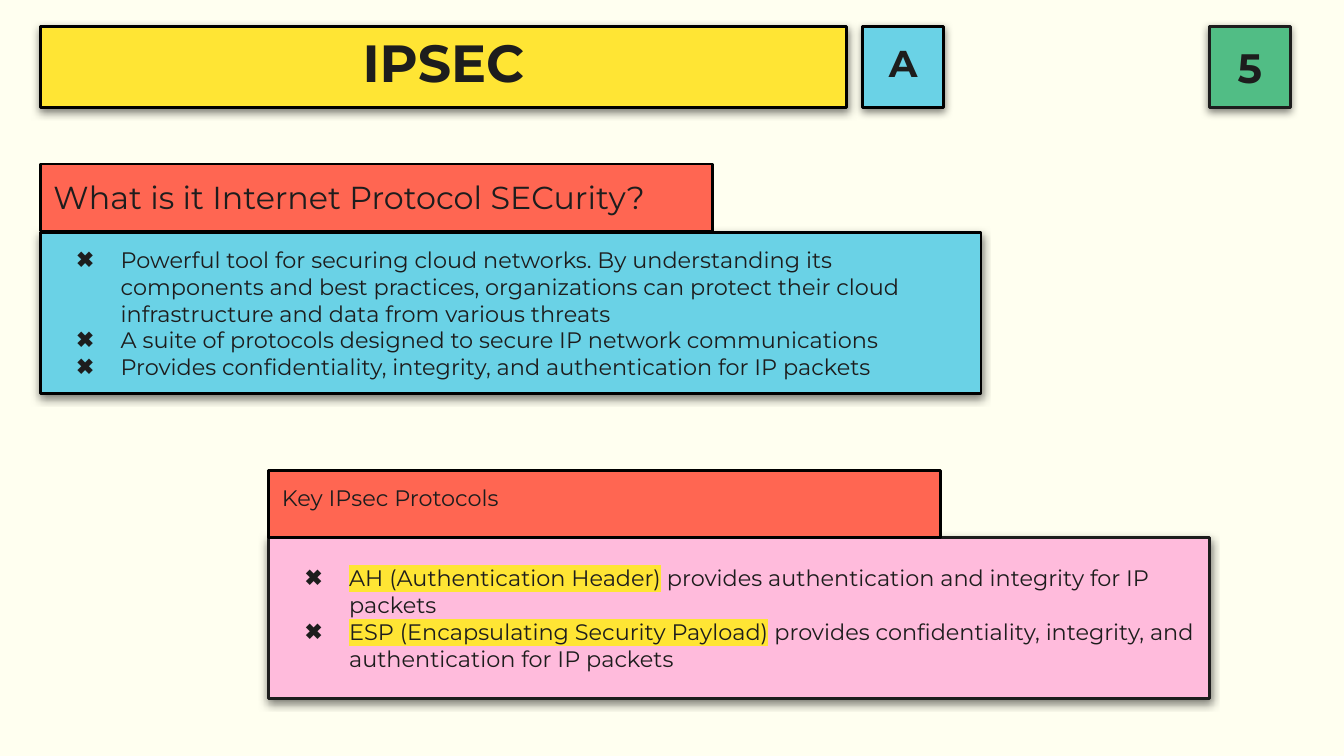
import pptx
import pptx.dml.color
import pptx.enum.shapes
import pptx.enum.text
import pptx.oxml
import pptx.oxml.ns
import pptx.util

Inches = pptx.util.Inches
Pt = pptx.util.Pt
ALIGN = pptx.enum.text.PP_ALIGN
ANCHOR = pptx.enum.text.MSO_ANCHOR
NS = pptx.oxml.ns.nsdecls("a")

CREAM, INK, BLACK = "FFFFF0", "1D1D1D", "000000"
YELLOW, BLUE, GREEN = "FFE534", "6AD2E6", "51BD85"
RED, PINK = "FF6652", "FFBBDC"

INTRO = [
    [("Powerful tool for securing cloud networks. By understanding its "
      "components and best practices, organizations can protect their cloud "
      "infrastructure and data from various threats", None)],
    [("A suite of protocols designed to secure IP network communications", None)],
    [("Provides confidentiality, integrity, and authentication for IP packets", None)],
]
MODES = [
    [("AH (Authentication Header)", YELLOW),
     (" provides authentication and integrity for IP packets", None)],
    [("ESP (Encapsulating Security Payload)", YELLOW),
     (" provides confidentiality, integrity, and authentication for IP packets", None)],
]


def color(code):
    return pptx.dml.color.RGBColor.from_string(code)


def assign(item, values):
    for key, value in values.items():
        setattr(item, key, value)


def node(xml):
    return pptx.oxml.parse_xml(xml)


def cast(shape):
    """Give the shape a soft shadow falling straight down."""
    effect = shape._element.spPr.find(pptx.oxml.ns.qn("a:effectLst"))
    effect.append(node(
        f'<a:outerShdw {NS} blurRad="{Pt(4.5)}" dist="{Pt(1.5)}" dir="5400000" '
        f'algn="bl" rotWithShape="0"><a:srgbClr val="{BLACK}">'
        '<a:alpha val="50000"/></a:srgbClr></a:outerShdw>'))


def add_box(slide, place, fill, line=BLACK, shade=True, anchor=ANCHOR.MIDDLE):
    shape = slide.shapes.add_shape(
        pptx.enum.shapes.MSO_SHAPE.RECTANGLE, *map(Inches, place))
    shape.shadow.inherit = False
    shape.fill.solid()
    shape.fill.fore_color.rgb = color(fill)
    shape.line.color.rgb = color(line)
    shape.line.width = Pt(1.5)
    if shade:
        cast(shape)
    edge = Inches(0.1)
    assign(shape.text_frame, {
        "word_wrap": True, "vertical_anchor": anchor,
        "margin_left": edge, "margin_right": edge,
        "margin_top": edge, "margin_bottom": edge})
    return shape.text_frame


def add_run(para, text, size, bold=False, mark=None):
    run = para.add_run()
    run.text = text
    assign(run.font, {"size": Pt(size), "name": "Montserrat", "bold": bold})
    run.font.color.rgb = color(INK)
    if mark:
        fill = run._r.rPr.find(pptx.oxml.ns.qn("a:solidFill"))
        fill.addnext(node(
            f'<a:highlight {NS}><a:srgbClr val="{mark}"/></a:highlight>'))


def add_tile(slide, place, fill, text, size, line=BLACK, space=0.8):
    """Bold centred label in a shaded box."""
    para = add_box(slide, place, fill, line).paragraphs[0]
    assign(para, {"alignment": ALIGN.CENTER, "line_spacing": space})
    add_run(para, text, size, bold=True)


def add_head(slide, left, top, text, size):
    frame = add_box(slide, (left, top, 5, 0.5), RED,
                    shade=False, anchor=ANCHOR.TOP)
    para = frame.paragraphs[0]
    para.alignment = ALIGN.LEFT
    add_run(para, text, size)


def add_list(slide, left, top, fill, line, items):
    frame = add_box(slide, (left, top, 7, 1.2), fill, line)
    for index, parts in enumerate(items):
        para = frame.add_paragraph() if index else frame.paragraphs[0]
        para.alignment = ALIGN.LEFT
        props = para._p.get_or_add_pPr()
        props.set("marL", str(Inches(0.5)))
        props.set("indent", str(Inches(-0.33)))
        for xml in (f'<a:buClr {NS}><a:srgbClr val="{INK}"/></a:buClr>',
                    f'<a:buFont {NS} typeface="Montserrat"/>',
                    f'<a:buChar {NS} char="✖"/>'):
            props.append(node(xml))
        for text, mark in parts:
            add_run(para, text, 12, mark=mark)


def main():
    # Widescreen page, 16 to 9
    deck = pptx.Presentation()
    wide = Inches(10)
    assign(deck, {"slide_width": wide, "slide_height": wide * 9 // 16})
    slide = deck.slides.add_slide(deck.slide_layouts[6])
    slide.background.fill.solid()
    slide.background.fill.fore_color.rgb = color(CREAM)

    # Page number
    add_tile(slide, (9, 0.2, 0.6, 0.6), GREEN, "5", 22, INK, 1.0)

    # Bullet panels
    add_list(slide, 2, 4, PINK, INK, MODES)
    add_list(slide, 0.3, 1.73, BLUE, BLACK, INTRO)

    # Title row
    add_tile(slide, (0.3, 0.2, 6, 0.6), YELLOW, "IPSEC", 28)
    add_tile(slide, (6.42, 0.2, 0.6, 0.6), BLUE, "A", 20)

    # Panel headings
    add_head(slide, 0.3, 1.22, "What is it Internet Protocol SECurity?", 17)
    add_head(slide, 2, 3.5, "Key IPsec Protocols", 12)

    deck.save("out.pptx")


if __name__ == "__main__":
    main()
